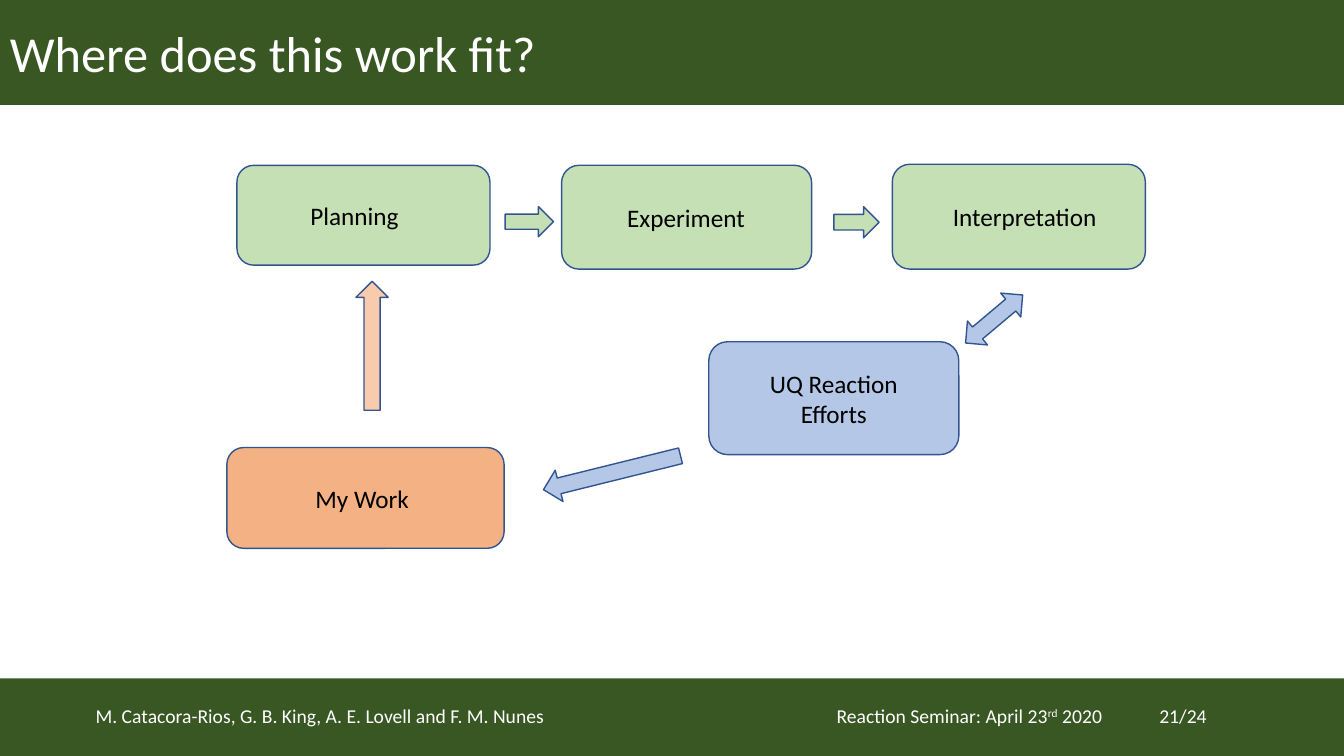
"""Build the slide that places this work in the cycle of planning, experiment and interpretation."""
from dataclasses import dataclass

from pptx import Presentation
from pptx.dml.color import RGBColor
from pptx.enum.shapes import MSO_SHAPE
from pptx.enum.text import MSO_ANCHOR, PP_ALIGN
from pptx.util import Inches, Pt


@dataclass(frozen=True)
class Theme:
    font: str = "Calibri"
    band: str = "385723"
    outline: str = "325491"
    green: str = "C5E0B4"
    blue: str = "B4C7E7"
    orange: str = "F4B183"
    peach: str = "F8CBAD"
    light_text: str = "FFFFFF"
    dark_text: str = "000000"
    title_size: int = 36
    label_size: int = 18
    footer_size: int = 14


theme = Theme()
presentation = Presentation()
presentation.slide_width = Inches(13.33)
presentation.slide_height = Inches(7.5)
slide = presentation.slides.add_slide(presentation.slide_layouts[6])


def add_block(preset, position, fill, outline=None):
    shape = slide.shapes.add_shape(preset, *[Inches(length) for length in position])
    shape.shadow.inherit = False
    shape.fill.solid()
    shape.fill.fore_color.rgb = RGBColor.from_string(fill)
    if outline:
        shape.line.color.rgb = RGBColor.from_string(outline)
        shape.line.width = Pt(1)
    else:
        shape.line.fill.background()
    return shape


def write_text(shape, text, size, color, alignment=PP_ALIGN.LEFT, inset=0.1):
    frame = shape.text_frame
    frame.text = text
    frame.word_wrap = True
    frame.vertical_anchor = MSO_ANCHOR.MIDDLE
    frame.margin_left = Inches(inset)
    paragraph = frame.paragraphs[0]
    paragraph.alignment = alignment
    for run in paragraph.runs:
        run.font.name = theme.font
        run.font.size = Pt(size)
        run.font.color.rgb = RGBColor.from_string(color)
    return paragraph


title_band = add_block(MSO_SHAPE.RECTANGLE, (0, 0, 13.33, 1.04), theme.band)
write_text(title_band, "Where does this work fit?", theme.title_size, theme.light_text)
add_block(MSO_SHAPE.RECTANGLE, (0, 6.73, 13.33, 0.77), theme.band)

footer_parts = [
    (0.85, 5.5, ["M. Catacora-Rios, G. B. King, A. E. Lovell and F. M. Nunes"]),
    (8.2, 3.1, ["Reaction Seminar: April 23", "rd", " 2020"]),
    (11.4, 1, ["21/24"]),
]
for left, width, pieces in footer_parts:
    footer = slide.shapes.add_textbox(Inches(left), Inches(6.93), Inches(width), Inches(0.34))
    paragraph = write_text(footer, pieces[0], theme.footer_size, theme.light_text)
    for piece in pieces[1:]:
        run = paragraph.add_run()
        run.text = piece
        run.font.name = theme.font
        run.font.size = Pt(theme.footer_size)
        run.font.color.rgb = RGBColor.from_string(theme.light_text)
        if piece == "rd":
            run.font._element.set("baseline", "30000")

stages = [
    ("Planning", (2.35, 1.64, 2.51, 0.99), theme.green, PP_ALIGN.LEFT, 0.68),
    ("Experiment", (5.57, 1.64, 2.48, 1.03), theme.green, PP_ALIGN.LEFT, 0.6),
    ("Interpretation", (8.85, 1.63, 2.51, 1.04), theme.green, PP_ALIGN.LEFT, 0.55),
    ("UQ Reaction Efforts", (7.03, 3.39, 2.48, 1.12), theme.blue, PP_ALIGN.CENTER, 0.32),
    ("My Work", (2.25, 4.44, 2.75, 1), theme.orange, PP_ALIGN.LEFT, 0.83),
]
for label, position, fill, alignment, inset in stages:
    box = add_block(MSO_SHAPE.ROUNDED_RECTANGLE, position, fill, theme.outline)
    write_text(box, label, theme.label_size, theme.dark_text, alignment, inset)
    if alignment == PP_ALIGN.CENTER:
        box.text_frame.margin_right = Inches(inset)

arrows = [
    (MSO_SHAPE.RIGHT_ARROW, (5.01, 2.05, 0.48, 0.3), 0, theme.green),
    (MSO_SHAPE.RIGHT_ARROW, (8.27, 2.05, 0.45, 0.31), 0, theme.green),
    (MSO_SHAPE.LEFT_RIGHT_ARROW, (9.49, 3.01, 0.74, 0.31), 319.9, theme.blue),
    (MSO_SHAPE.LEFT_ARROW, (5.37, 4.53, 1.4, 0.32), 346.1, theme.blue),
    (MSO_SHAPE.UP_ARROW, (3.53, 2.79, 0.32, 1.28), 0, theme.peach),
]
for preset, position, rotation, fill in arrows:
    add_block(preset, position, fill, theme.outline).rotation = rotation

presentation.save("out.pptx")
